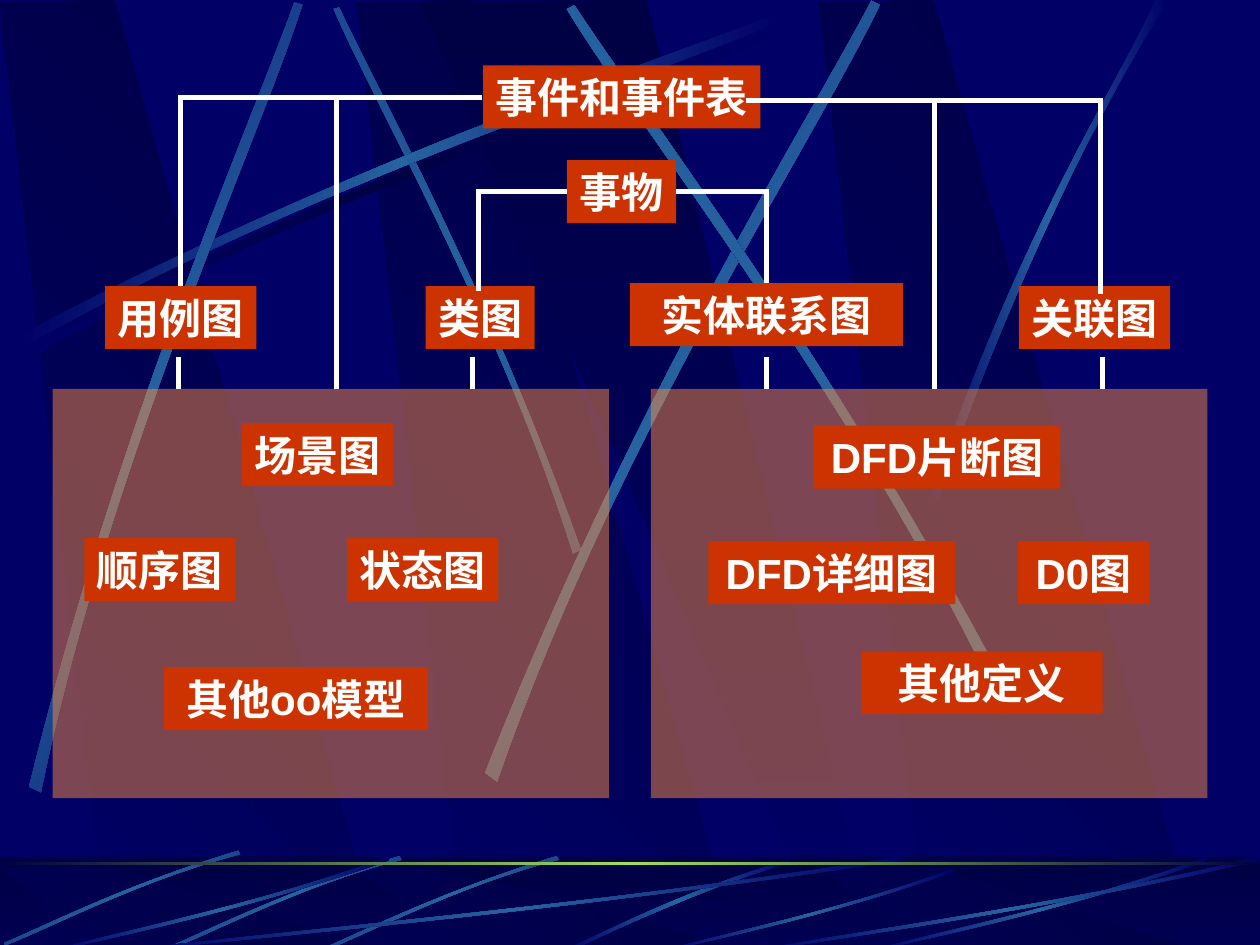
from copy import deepcopy

from lxml import etree
from pptx import Presentation
from pptx.dml.color import RGBColor
from pptx.enum import shapes, text
from pptx.oxml.ns import qn
from pptx.util import Cm, Pt

NAVY, NIGHT, STEEL, LIME = "000066", "000044", "2663A0", "9CE157"
RED, ORANGE, WHITE = "CC3300", "F98D43", "FFFFFF"
GLOW = (NAVY, STEEL, NAVY)
SHADE = (NIGHT, NAVY)

BEAM = [(0.86, 7.5), (3.02, 7.52), (0.91, 0), (0, 0.02)]
FAN = [(0, 0.01), (3.25, 7.51), (3.61, 7.51), (1.8, 0)]
SWEEP = [(0, 2.57), (2.7, 1.15), (5.04, 0.41), (6.06, 0),
         (6.09, 0.06), (5.08, 0.51), (2.34, 1.33), (0.03, 2.67)]
BLADE = [(0, 3.93), (0.76, 1.73), (1.5, 0.66), (1.79, 0),
         (1.89, 0), (0.98, 1.45), (0.31, 3.22), (0.06, 3.97)]
CURL = [(1.79, 0), (0.89, 0.27), (0.29, 0.6), (0, 0.72),
        (0.05, 0.73), (0.42, 0.55), (1.23, 0.18), (1.8, 0.03)]
GLIDE = [(6.17, 0.03), (3.49, 0.43), (1.06, 0.64), (0.03, 0.75),
         (0, 0.74), (1.02, 0.61), (3.8, 0.38), (6.14, 0)]


def rgb(value):
    """Turn a hex string into a colour."""
    return RGBColor.from_string(value)


def paint(shape, color, alpha=None):
    """Fill a shape with one colour and no outline."""
    shape.shadow.inherit = False
    shape.line.fill.background()
    shape.fill.solid()
    shape.fill.fore_color.rgb = rgb(color)
    if alpha:
        tint = shape._element.spPr.find(".//" + qn("a:srgbClr"))
        etree.SubElement(tint, qn("a:alpha")).set("val", str(alpha * 1000))


def blend(shape, colors, angle=0):
    """Fill a shape with evenly spaced gradient colours and no outline."""
    shape.shadow.inherit = False
    shape.line.fill.background()
    shape.fill.gradient()
    shape.fill.gradient_angle = angle
    stops = shape._element.spPr.find(".//" + qn("a:gsLst"))
    for _ in colors[2:]:
        stops.insert(1, deepcopy(stops[0]))
    for index, (stop, color) in enumerate(zip(shape.fill.gradient_stops, colors)):
        stop.color.rgb = rgb(color)
        stop.position = index / (len(colors) - 1)


def rectangle(slide, left, top, width, height):
    """Add a plain rectangle."""
    return slide.shapes.add_shape(
        shapes.MSO_SHAPE.RECTANGLE, Cm(left), Cm(top), Cm(width), Cm(height))


def outline(slide, points, left, top, width, height, flip=False):
    """Add a closed polygon stretched to a box."""
    right, bottom = (max(axis) for axis in zip(*points))
    placed = [(Cm(left + width * (1 - x / right if flip else x / right)),
               Cm(top + height * y / bottom)) for x, y in points]
    builder = slide.shapes.build_freeform(*placed[0])
    builder.add_line_segments(placed[1:], close=True)
    return builder.convert_to_shape()


def bend(shape):
    """Turn the two long sides of an eight-point outline into Bezier curves."""
    sides = shape._element.spPr.findall(".//" + qn("a:lnTo"))
    for first in (0, 4):
        cubic = etree.Element(qn("a:cubicBezTo"))
        sides[first].addprevious(cubic)
        for side in sides[first:first + 3]:
            cubic.append(side[0])
            side.getparent().remove(side)


def streak(slide, profile, box, turn=0, flip=False, colors=GLOW):
    """Add a curved ray of light bounded by two curves."""
    ray = outline(slide, profile, *box, flip=flip)
    bend(ray)
    ray.rotation = turn
    blend(ray, colors, 2 * turn % 360)


def beams(slide, top, height):
    """Add the slanted dark beams across one band."""
    for left in (7.19, 0, 16.51):
        blend(outline(slide, BEAM, left, top, 7.67, height), SHADE, 225)
    blend(outline(slide, FAN, 8.46, top, 9.17, height), SHADE, 270)


def sky(slide):
    """Draw the full-height backdrop."""
    beams(slide, 0, 19.1)
    streak(slide, SWEEP, (0.51, 0.46, 15.44, 6.78), colors=(NAVY, NIGHT, NAVY))
    for box, turn, flip in (
            ((3.58, 3.43, 11.23, 4.45), 45, True),
            ((0.36, 0.25, 15.44, 6.78), 0, False),
            ((-4.34, 4.62, 15.44, 6.78), 311.7, False),
            ((5.87, 4.06, 15.85, 7.65), 321.6, False),
            ((8.2, 3.86, 15.44, 6.78), 34.8, True)):
        streak(slide, SWEEP, box, turn, flip)
    streak(slide, BLADE, (18.75, 0, 4.8, 10.08))


def ground(slide, top, width, height):
    """Draw the footer band and its horizon line."""
    blend(rectangle(slide, 0, top, width, height), SHADE, 270)
    beams(slide, top + 0.21, 1.68)
    paint(rectangle(slide, 0, top, width, height), NIGHT, alpha=50)
    streak(slide, CURL, (11.38, top + 0.05, 4.57, 1.85))
    for left, lift in ((6.55, 0.1), (3.38, 0.1), (0.13, 0.21)):
        streak(slide, SWEEP, (left, top - lift, 4.67, 2.11), 314.9, True)
    for left, drop, span in ((2.54, 0, 15.67), (1.07, 0, 6.78), (13.39, 0.23, 5.87),
                             (17.58, 0, 6.78), (15.24, 0, 10.16)):
        streak(slide, GLIDE, (left, top + drop, span, 1.91 - drop))
    blend(rectangle(slide, 0, top + 0.1, width, 0.06), (NIGHT, LIME, NIGHT))


def write(frame, words, size=24, color=WHITE, bold=True, font="Arial"):
    """Write one centred line of text."""
    frame.word_wrap = False
    frame.vertical_anchor = text.MSO_ANCHOR.BOTTOM
    line = frame.paragraphs[0]
    line.alignment = text.PP_ALIGN.CENTER
    run = line.add_run()
    run.text = words
    run.font.size, run.font.bold, run.font.name = Pt(size), bold, font
    run.font.color.rgb = rgb(color)


def label(slide, words, left, top, width):
    """Add a red label."""
    tag = rectangle(slide, left, top, width, 1.27)
    paint(tag, RED)
    write(tag.text_frame, words)


def panel(slide, left, top, width, height, models):
    """Add a translucent panel with its model labels."""
    paint(rectangle(slide, left, top, width, height), ORANGE, alpha=50)
    for words, x, y, span in models:
        label(slide, words, left + x, top + y, span)


def link(slide, start, end, bent=True):
    """Join two points, straight or across and then down."""
    kind = shapes.MSO_CONNECTOR.ELBOW if bent else shapes.MSO_CONNECTOR.STRAIGHT
    wire = slide.shapes.add_connector(kind, *(Cm(v) for v in start + end))
    wire.line.color.rgb = rgb(WHITE)
    wire.line.width = Pt(3)
    properties = wire._element.spPr
    if bent:
        properties.find(qn("a:prstGeom")).set("prst", "bentConnector2")
        corner = etree.SubElement(properties.find(qn("a:ln")), qn("a:miter"))
        corner.set("lim", "800000")
    etree.SubElement(properties, qn("a:effectLst"))


def tree(slide, floor):
    """Draw the source labels and the links down to the panels."""
    for words, left, top, width in (
            ("事件和事件表", 9.74, 1.32, 5.59), ("事物", 11.43, 3.23, 2.2),
            ("用例图", 2.12, 5.77, 3.05), ("类图", 8.58, 5.77, 2.2),
            ("实体联系图", 12.7, 5.71, 5.51), ("关联图", 20.54, 5.77, 3.05)):
        label(slide, words, left, top, width)
    events_left, events_right = (9.72, 1.96), (15.03, 2.03)
    for start, end in ((events_left, (3.64, 5.77)), (events_left, (6.78, floor)),
                       (events_right, (22.19, 5.92)), (events_right, (18.84, floor)),
                       ((11.43, 3.86), (9.65, 5.86)), ((13.63, 3.86), (15.45, 5.71))):
        link(slide, start, end)
    for x in (3.6, 9.53, 15.45, 22.23):
        link(slide, (x, floor - 0.64), (x, floor), bent=False)


def main():
    """Build and save the slide."""
    deck = Presentation()
    deck.slide_width, deck.slide_height = Cm(25.4), Cm(19.05)
    slide = deck.slides.add_slide(deck.slide_layouts[6])
    slide.background.fill.solid()
    slide.background.fill.fore_color.rgb = rgb(NAVY)
    sky(slide)
    ground(slide, 17.27, 25.4, 1.91)
    floor = 7.84
    panel(slide, 13.12, floor, 11.22, 8.25, (
        ("DFD片断图", 3.28, 0.74, 4.98), ("DFD详细图", 1.16, 3.07, 4.98),
        ("D0图", 7.4, 3.07, 2.64), ("其他定义", 4.24, 5.29, 4.87)))
    panel(slide, 1.06, floor, 11.22, 8.25, (
        ("场景图", 3.81, 0.69, 3.05), ("顺序图", 0.64, 3.01, 3.05),
        ("状态图", 5.94, 3.01, 3.05), ("其他oo模型", 2.24, 5.61, 5.33)))
    tree(slide, floor)
    deck.save("out.pptx")


if __name__ == "__main__":
    main()
